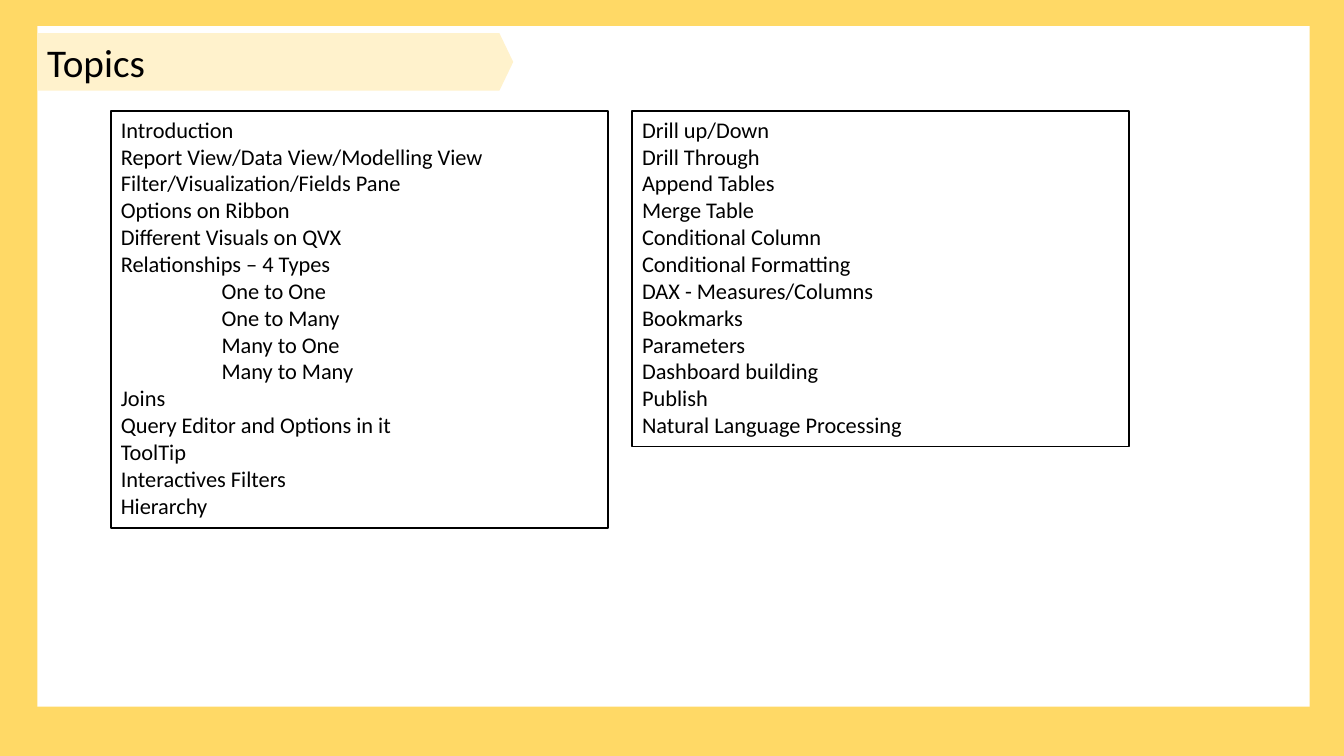
"""Build a slide that lists the course topics in two framed columns."""
from pptx import Presentation
from pptx.dml.color import RGBColor
from pptx.enum.shapes import MSO_SHAPE
from pptx.enum.text import MSO_ANCHOR, MSO_AUTO_SIZE, PP_ALIGN
from pptx.util import Inches, Pt

TITLE = "Topics"
TOPIC_COLUMNS = [
    [
        "Introduction",
        "Report View/Data View/Modelling View",
        "Filter/Visualization/Fields Pane",
        "Options on Ribbon",
        "Different Visuals on QVX",
        "Relationships – 4 Types",
        ("One to One", "One to Many", "Many to One", "Many to Many"),
        "Joins",
        "Query Editor and Options in it",
        "ToolTip",
        "Interactives Filters",
        "Hierarchy",
    ],
    [
        "Drill up/Down",
        "Drill Through",
        "Append Tables",
        "Merge Table",
        "Conditional Column",
        "Conditional Formatting",
        "DAX - Measures/Columns",
        "Bookmarks",
        "Parameters",
        "Dashboard building",
        "Publish",
        "Natural Language Processing",
    ],
]
COLORS = {"frame": "FFD966", "panel": "FFFFFF", "banner": "FFF2CC", "ink": "000000"}
FONT = "Calibri"
SLIDE_WIDTH, SLIDE_HEIGHT = 13.33, 7.5
PANEL_LEFT, PANEL_TOP, PANEL_WIDTH, PANEL_HEIGHT = 0.37, 0.26, 12.62, 6.75
BANNER_TOP, BANNER_WIDTH, BANNER_HEIGHT = 0.33, 4.72, 0.57
GRID_LEFT, GRID_TOP, COLUMN_WIDTH, COLUMN_GAP = 1.1, 1.1, 4.93, 0.24
ROW_HEIGHT, BOX_PADDING, SUBTOPIC_INDENT = 0.27, 0.09, 1


def color(name):
    return RGBColor.from_string(COLORS[name])


def add_box(page, kind, left, top, width, height, fill, outlined=False):
    box = page.shapes.add_shape(
        kind, Inches(left), Inches(top), Inches(width), Inches(height))
    box.shadow.inherit = False
    box.fill.solid()
    box.fill.fore_color.rgb = color(fill)
    if outlined:
        box.line.color.rgb = color("ink")
        box.line.width = Pt(1)
    else:
        box.line.fill.background()
    return box


def write_lines(box, lines, size):
    frame = box.text_frame
    frame.word_wrap = True
    frame.auto_size = MSO_AUTO_SIZE.SHAPE_TO_FIT_TEXT
    frame.vertical_anchor = MSO_ANCHOR.TOP
    for index, (text, indent) in enumerate(lines):
        para = frame.add_paragraph() if index else frame.paragraphs[0]
        para.text = text
        para.alignment = PP_ALIGN.LEFT
        para.font.name = FONT
        para.font.size = Pt(size)
        para.font.color.rgb = color("ink")
        if indent:
            para._p.get_or_add_pPr().set("marL", str(Inches(indent)))


def flatten(topics):
    lines = []
    for topic in topics:
        if isinstance(topic, tuple):
            lines += [(subtopic, SUBTOPIC_INDENT) for subtopic in topic]
        else:
            lines.append((topic, 0))
    return lines


def main():
    deck = Presentation()
    deck.slide_width, deck.slide_height = Inches(SLIDE_WIDTH), Inches(SLIDE_HEIGHT)
    page = deck.slides.add_slide(deck.slide_layouts[6])
    page.background.fill.solid()
    page.background.fill.fore_color.rgb = color("frame")

    add_box(page, MSO_SHAPE.RECTANGLE, PANEL_LEFT, PANEL_TOP,
            PANEL_WIDTH, PANEL_HEIGHT, "panel")
    banner = add_box(page, MSO_SHAPE.PENTAGON, PANEL_LEFT, BANNER_TOP,
                     BANNER_WIDTH, BANNER_HEIGHT, "banner")
    banner.adjustments[0] = 0.24
    write_lines(banner, [(TITLE, 0)], 28)

    for column, topics in enumerate(TOPIC_COLUMNS):
        lines = flatten(topics)
        left = GRID_LEFT + column * (COLUMN_WIDTH + COLUMN_GAP)
        height = BOX_PADDING + len(lines) * ROW_HEIGHT
        box = add_box(page, MSO_SHAPE.RECTANGLE, left, GRID_TOP,
                      COLUMN_WIDTH, height, "panel", outlined=True)
        write_lines(box, lines, 16)

    deck.save("out.pptx")


if __name__ == "__main__":
    main()
